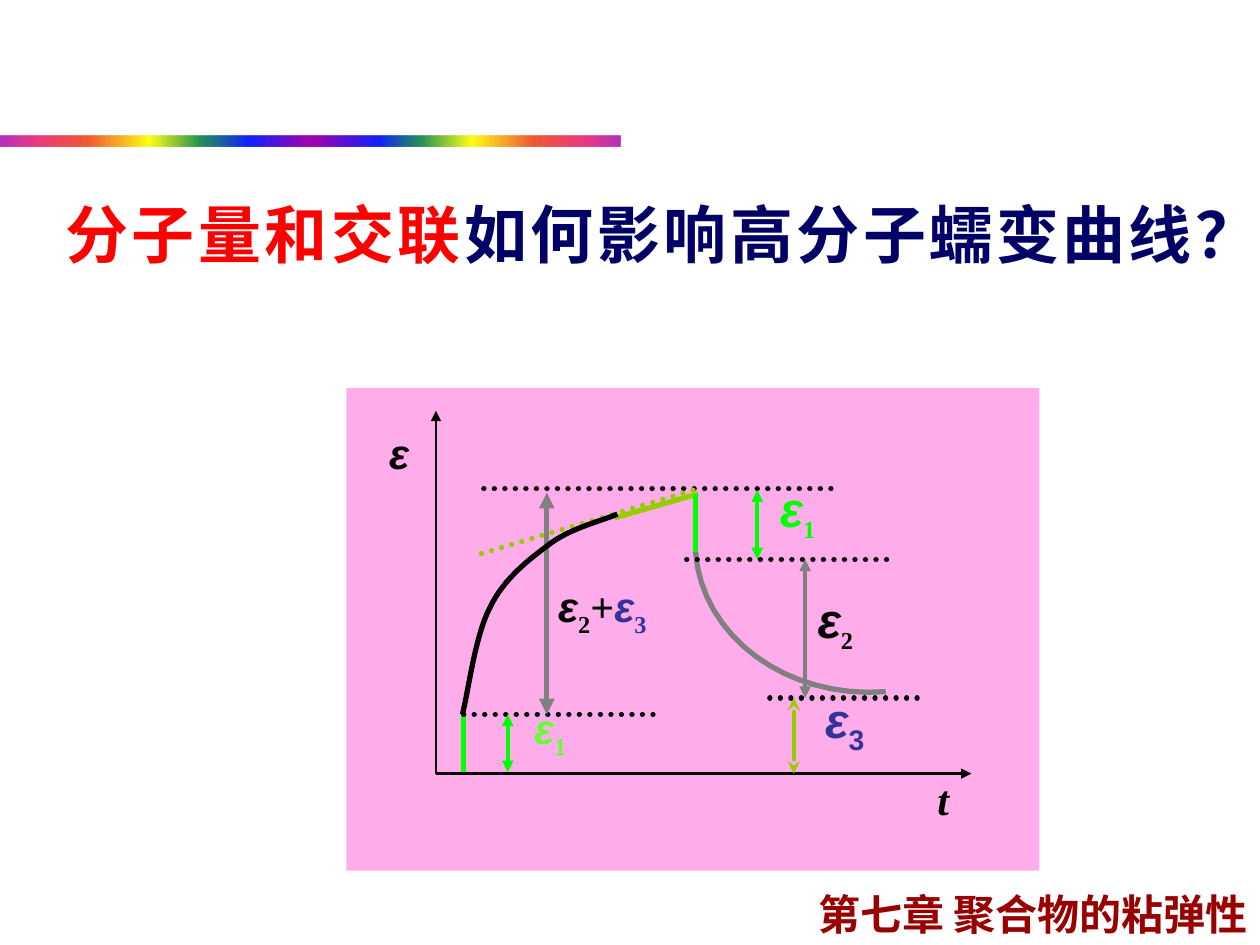
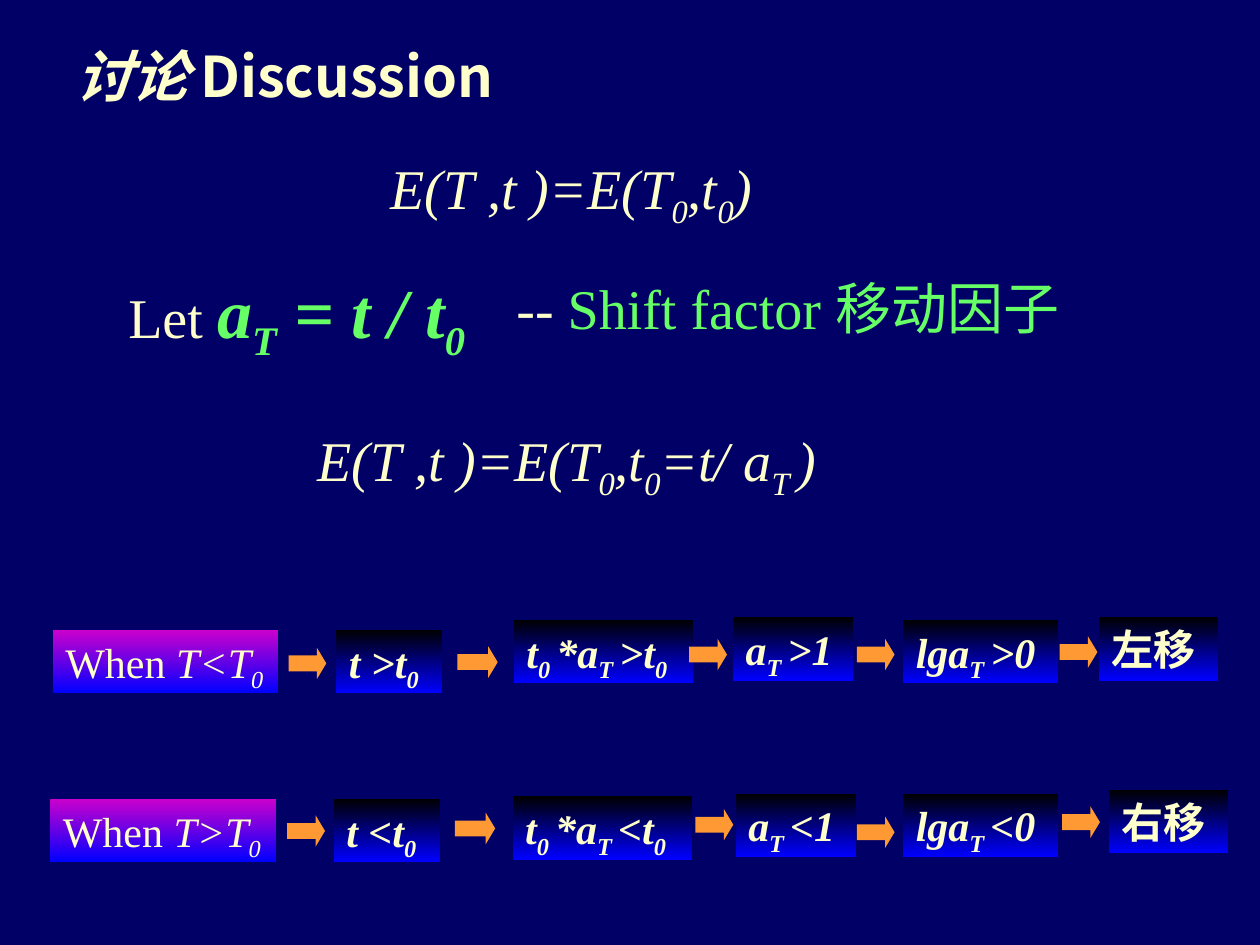
from lxml import etree
from pptx import Presentation
from pptx.dml.color import RGBColor
from pptx.enum.shapes import MSO_CONNECTOR, MSO_SHAPE
from pptx.enum.text import MSO_ANCHOR, PP_ALIGN
from pptx.oxml.ns import qn
from pptx.util import Inches, Pt

RECT, ARROW = MSO_SHAPE.RECTANGLE, MSO_SHAPE.RIGHT_ARROW
STRAIGHT = MSO_CONNECTOR.STRAIGHT
LEFT, RIGHT, JUSTIFY, CENTER = PP_ALIGN.LEFT, PP_ALIGN.RIGHT, PP_ALIGN.JUSTIFY, PP_ALIGN.CENTER
TOP, BOTTOM = MSO_ANCHOR.TOP, MSO_ANCHOR.BOTTOM

C = {
    "white": "FFFFFF", "black": "000000", "navy": "000066", "red": "FF0000",
    "maroon": "990000", "pink": "FF33CC", "olive": "99CC00", "green": "00FF00",
    "lime": "66FF33", "mint": "66FF66", "gray": "808080", "indigo": "333399",
    "cream": "FFFFCC", "orange": "FF9933", "magenta": "CC00CC", "blue": "0000FF",
}
CJK, SERIF, SANS = "Noto Sans CJK SC", "Times New Roman", "Arial"

# Text styles
HEADING = dict(name=CJK, size=36, color="navy", bold=True)
DISCUSSION = dict(name=CJK, size=32, color="cream", bold=True)
FOOTER = dict(name=CJK, size=24, color="maroon", bold=True)
FORMULA = dict(name=SERIF, size=32, color="cream")
CHIP = dict(name=SERIF, size=24, color="cream")
STRAIN = dict(name=SANS, size=24, color="black", bold=True, italic=True)
INDEX = dict(name=SERIF, size=24, italic=False)

# Rainbow band: position, colour, opacity in percent
RAINBOW = [
    (0, "A603AB", 82), (6, "E81766", 84), (14, "EE3F17", 87), (24, "FFFF00", 91),
    (32, "1A8D48", 94), (40, "0819FB", 96), (50, "A603AB", 100), (61, "0819FB", 96),
    (68, "1A8D48", 94), (76, "FFFF00", 91), (86, "EE3F17", 87), (94, "E81766", 84),
    (100, "A603AB", 82),
]


def rgb(color):
    return RGBColor.from_string(C[color])


def set_alpha(color_element, percent):
    etree.SubElement(color_element, qn("a:alpha"), val=str(percent * 1000))


def style_font(font, name=None, size=None, color=None, bold=None, italic=None):
    if name:
        font.name = name
    if size:
        font.size = Pt(size)
    if color:
        font.color.rgb = rgb(color)
    if bold is not None:
        font.bold = bold
    if italic is not None:
        font.italic = italic


def write(shape, runs, style, align=LEFT, anchor=TOP, wrap=True):
    """Fill a shape with (text, overrides) runs; {braces} mark subscripts."""
    tf = shape.text_frame
    tf.word_wrap = wrap
    tf.vertical_anchor = anchor
    p = tf.paragraphs[0]
    p.alignment = align
    style_font(p.font, **style)
    for text, overrides in runs:
        for i, piece in enumerate(text.replace("}", "{").split("{")):
            if not piece:
                continue
            r = p.add_run()
            r.text = piece
            style_font(r.font, **overrides)
            rpr = r._r.get_or_add_rPr()
            rpr.set("lang", "zh-CN")
            if i % 2:
                rpr.set("baseline", "-25000")
            etree.SubElement(rpr, qn("a:ea"), typeface=CJK)


def add_text(s, box, runs, style, **layout):
    write(s.shapes.add_textbox(*map(Inches, box)), runs, style, **layout)


def add_block(s, kind, box, color=None):
    shape = s.shapes.add_shape(kind, *map(Inches, box))
    shape.shadow.inherit = False
    shape.line.fill.background()
    if color:
        shape.fill.solid()
        shape.fill.fore_color.rgb = rgb(color)
    return shape


def fill_gradient(shape, stops, angle):
    shape.fill.gradient()
    shape.fill.gradient_angle = angle
    gs_list = shape._element.spPr.find(".//" + qn("a:gsLst"))
    for gs in list(gs_list):
        gs_list.remove(gs)
    for position, color, opacity in stops:
        gs = etree.SubElement(gs_list, qn("a:gs"), pos=str(position * 1000))
        clr = etree.SubElement(gs, qn("a:srgbClr"), val=color)
        if opacity < 100:
            set_alpha(clr, opacity)


def add_line(s, start, end, color, width, dotted=False, head=None, tail=None):
    c = s.shapes.add_connector(STRAIGHT, *map(Inches, start + end))
    c.line.color.rgb = rgb(color)
    c.line.width = Pt(width)
    ln = c.line._get_or_add_ln()
    if dotted:
        ln.set("cap", "rnd")
        etree.SubElement(ln, qn("a:prstDash"), val="sysDot")
    for tag, kind in (("a:headEnd", head), ("a:tailEnd", tail)):
        if kind:
            etree.SubElement(ln, qn(tag), type=kind)
    etree.SubElement(c._element.spPr, qn("a:effectLst"))


def add_curve(s, start, segments, color, width, steps=16):
    """Draw cubic segments, each given as two control points and an end."""
    points = [start]
    for a, b, end in segments:
        origin = points[-1]
        for i in range(1, steps + 1):
            t = i / steps
            u = 1 - t
            points.append(tuple(
                u**3 * o + 3 * u * u * t * m + 3 * u * t * t * n + t**3 * e
                for o, m, n, e in zip(origin, a, b, end)))
    emu = [(Inches(x), Inches(y)) for x, y in points]
    builder = s.shapes.build_freeform(*emu[0])
    builder.add_line_segments(emu[1:], close=False)
    shape = builder.convert_to_shape()
    shape.shadow.inherit = False
    shape.fill.background()
    shape.line.color.rgb = rgb(color)
    shape.line.width = Pt(width)


def add_chip(s, x, y, width, runs, top_color="black", bold=True):
    chip = add_block(s, RECT, (x, y, width, 0.5))
    fill_gradient(chip, [(0, C[top_color], 100), (100, C["blue"], 100)], 270)
    write(chip, runs, dict(CHIP, bold=bold))


def add_arrow(s, x, y, width=0.3):
    arrow = add_block(s, ARROW, (x, y, width, 0.25), "orange")
    arrow.adjustments[1] = 0.3


def new_slide(prs, background):
    s = prs.slides.add_slide(prs.slide_layouts[6])
    s.background.fill.solid()
    s.background.fill.fore_color.rgb = rgb(background)
    return s


def draw_creep_curve(s):
    panel = add_block(s, RECT, (2.75, 3.08, 5.5, 3.83), "pink")
    set_alpha(panel._element.spPr.find(".//" + qn("a:srgbClr")), 40)

    # Solid strain segments and recovery curve
    add_line(s, (4.88, 4.11), (5.54, 3.92), "olive", 3)
    add_line(s, (5.52, 4.38), (5.52, 3.92), "green", 3)
    add_line(s, (3.68, 6.14), (3.68, 5.67), "green", 3)
    add_curve(s, (7.03, 5.49), [((6.24, 5.55), (5.57, 5.05), (5.52, 4.38))], "gray", 3)

    # Axes
    origin = (3.46, 6.14)
    for end in ((3.46, 3.26), (7.71, 6.14)):
        add_line(s, origin, end, "black", 1.5, tail="triangle")

    # Dotted levels and tangent
    for left, right, y in ((3.84, 6.6, 3.88), (6.11, 7.34, 5.54),
                           (3.68, 5.22, 5.67), (5.45, 7.05, 4.44)):
        add_line(s, (left, y), (right, y), "black", 3, dotted=True)
    add_line(s, (5.5, 3.89), (3.8, 4.4), "olive", 3, dotted=True)

    # Strain spans
    for y in (3.91, 5.67):
        add_line(s, (4.34, 4.65), (4.34, y), "gray", 3, tail="triangle")
    for x, top, bottom, color, width, tip in (
            (6.3, 5.54, 6.14, "olive", 2.5, "stealth"),
            (4.03, 5.67, 6.13, "green", 2.25, "triangle"),
            (6.39, 4.44, 5.54, "gray", 2.25, "triangle"),
            (6.01, 3.89, 4.44, "green", 2.25, "triangle")):
        add_line(s, (x, top), (x, bottom), color, width, head=tip, tail=tip)

    # Creep curve
    add_curve(s, (3.67, 5.67), [
        ((3.71, 5.53), (3.77, 5.04), (3.89, 4.82)),
        ((4.0, 4.59), (4.2, 4.44), (4.36, 4.32)),
        ((4.53, 4.19), (4.79, 4.13), (4.9, 4.08))], "black", 3)

    # Labels
    add_text(s, (4.12, 4.56, 1.32, 0.53),
             [("ε", {}), ("{2}+", INDEX), ("ε", dict(color="indigo")),
              ("{3}", dict(INDEX, color="indigo"))], STRAIN, align=CENTER)
    add_text(s, (7.34, 6.09, 0.51, 0.53), [("t", {})], dict(STRAIN, name=SERIF))
    add_text(s, (2.99, 3.34, 0.55, 0.53), [("ε", {})], STRAIN)
    add_text(s, (4.14, 5.53, 0.66, 0.53), [("ε", {}), ("{1}", INDEX)],
             dict(STRAIN, color="lime"))
    for x, y, digit, color, index in (
            (6.45, 5.42, "{3}", "indigo", dict(italic=False)),
            (6.39, 4.63, "{2}", "black", INDEX),
            (6.09, 3.75, "{1}", "green", INDEX)):
        add_text(s, (x, y, 0.55, 0.61), [("ε", {}), (digit, index)],
                 dict(STRAIN, size=28, color=color), wrap=False)


def build_question_slide(prs):
    s = new_slide(prs, "white")
    band = add_block(s, RECT, (0, 1.08, 4.92, 0.08))
    fill_gradient(band, RAINBOW, 0)
    add_text(s, (4.25, 7, 5.75, 0.5), [("第七章 聚合物的粘弹性", {})], FOOTER, align=RIGHT)
    add_text(s, (0.42, 1.5, 9.17, 0.71),
             [("分子量和交联", dict(color="red")), ("如何影响高分子蠕变曲线？", {})],
             HEADING, align=JUSTIFY)
    draw_creep_curve(s)


def build_discussion_slide(prs):
    s = new_slide(prs, "navy")
    add_text(s, (0.5, 0.33, 3.83, 0.58),
             [("讨论 ", dict(italic=True)), ("Discussion", {})], DISCUSSION, anchor=BOTTOM)

    # Formulas
    italic = dict(FORMULA, italic=True)
    add_text(s, (3, 1.17, 3.08, 0.63), [("E(T ,t )=E(T{0},t{0})", {})], italic)
    add_text(s, (0.92, 2.08, 3.17, 0.77),
             [("Let ", {}),
              ("a{T} = t / t{0}", dict(size=40, color="mint", bold=True, italic=True))],
             FORMULA)
    add_text(s, (4, 2.12, 4.67, 0.63),
             [("-- ", {}), ("Shift factor 移动因子", dict(color="mint"))], FORMULA)
    add_text(s, (2.42, 3.33, 4.5, 0.63), [("E(T ,t )=E(T{0},t{0}=t/ a{T })", {})], italic)

    # Reasoning chains: sign, direction, chip places, arrow places
    chains = [
        ("<", ">", "左移",
         [(0.42, 5), (2.67, 5), (4.08, 4.92), (5.82, 4.9), (7.17, 4.92), (8.72, 4.9)],
         [(2.29, 5.14), (3.63, 5.13), (5.47, 5.07), (6.8, 5.07), (8.41, 5.05)]),
        (">", "<", "右移",
         [(0.4, 6.34), (2.65, 6.34), (4.07, 6.32), (5.84, 6.3), (7.17, 6.3), (8.8, 6.27)],
         [(2.28, 6.47), (3.61, 6.45), (5.52, 6.42), (6.8, 6.48), (8.43, 6.4)]),
    ]
    widths = [0.84, 1.42, 0.95, 1.23, 0.95]
    for temperature, sign, shift, chips, arrows in chains:
        add_chip(s, *chips[0], 1.79,
                 [("When ", {}), (f"T{temperature}T{{0}}", dict(italic=True))],
                 "magenta", bold=False)
        steps = [f"t {sign}t{{0}}", f"t{{0 }}*a{{T }}{sign}t{{0}}",
                 f"a{{T }}{sign}1", f"lga{{T }}{sign}0", shift]
        for place, width, step in zip(chips[1:], widths, steps):
            add_chip(s, *place, width, [(step, dict(italic=step != shift))])
        for i, place in enumerate(arrows):
            add_arrow(s, *place, width=0.32 if i == 1 else 0.3)


def main():
    prs = Presentation()
    prs.slide_width, prs.slide_height = Inches(10), Inches(7.5)
    build_question_slide(prs)
    build_discussion_slide(prs)
    prs.save("out.pptx")


if __name__ == "__main__":
    main()
